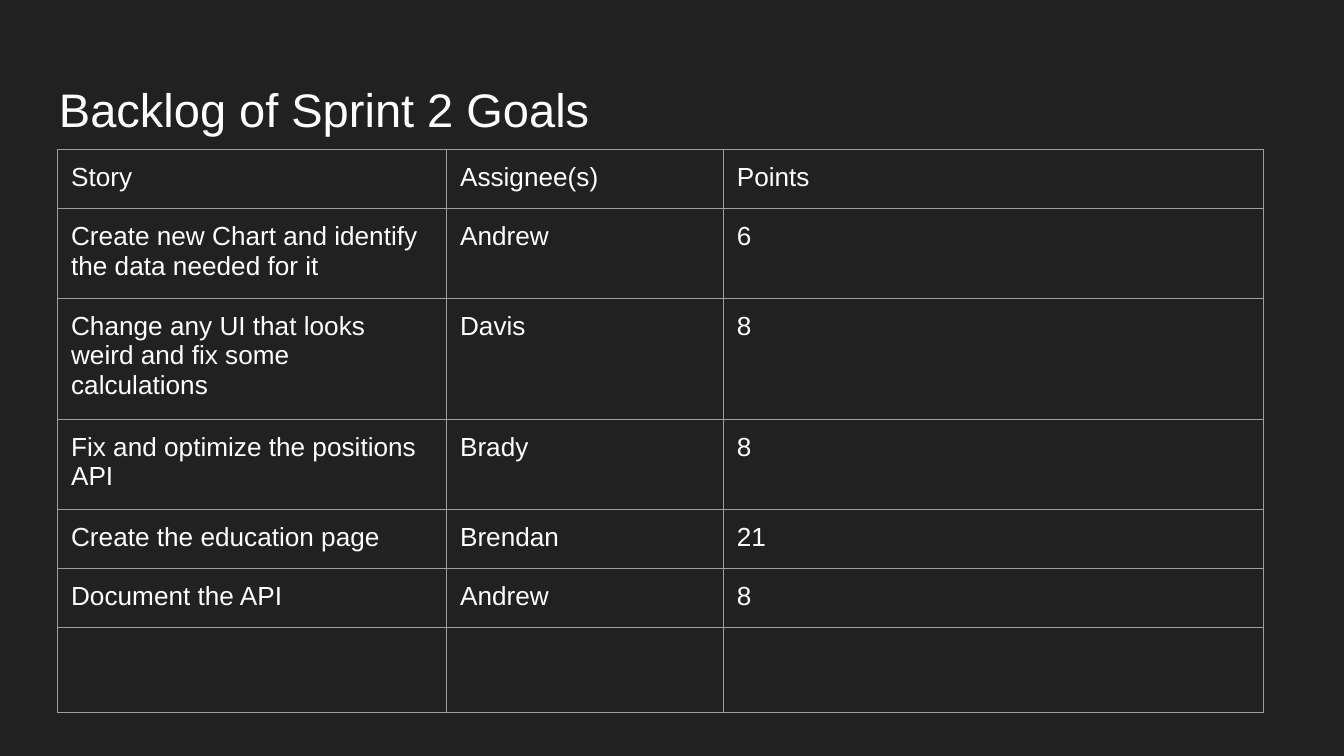
from dataclasses import dataclass

from lxml.etree import SubElement
from pptx import Presentation
from pptx.dml.color import RGBColor
from pptx.enum.text import MSO_ANCHOR
from pptx.oxml.ns import qn
from pptx.util import Pt

BACKGROUND = "212121"
TEXT = "FFFFFF"
BORDER = "9E9E9E"
FONT = "Arial"
INSET = 7.2
COLUMN_WIDTHS = (208.4, 148.3, 289.4)


@dataclass
class Story:
    """One row of the backlog."""

    name: str
    assignee: str
    points: str
    height: float = 31.7


BACKLOG = (
    Story("Story", "Assignee(s)", "Points"),
    Story("Create new Chart and identify the data needed for it", "Andrew", "6"),
    Story("Change any UI that looks weird and fix some calculations", "Davis", "8", 45.6),
    Story("Fix and optimize the positions API", "Brady", "8"),
    Story("Create the education page", "Brendan", "21"),
    Story("Document the API", "Andrew", "8"),
    Story("", "", "", 45.6),
)


def color(value: str) -> RGBColor:
    """Turn a hex string into a colour."""
    return RGBColor.from_string(value)


def write(para, text: str, size: float) -> None:
    """Add one run of slide text to a paragraph."""
    span = para.add_run()
    span.text = text
    span.font.name = FONT
    span.font.size = Pt(size)
    span.font.color.rgb = color(TEXT)


def set_insets(target) -> None:
    """Give a cell or text frame the same inset on every side."""
    target.margin_left = target.margin_right = Pt(INSET)
    target.margin_top = target.margin_bottom = Pt(INSET)


def outline(cell, width: float = 0.75) -> None:
    """Draw a solid border on all four sides of a cell."""
    properties = cell._tc.get_or_add_tcPr()
    for index, side in enumerate(("lnL", "lnR", "lnT", "lnB")):
        line = SubElement(properties, qn(f"a:{side}"), w=str(Pt(width)))
        fill = SubElement(line, qn("a:solidFill"))
        SubElement(fill, qn("a:srgbClr"), val=BORDER)
        properties.insert(index, line)


def add_title(page, text: str) -> None:
    """Place the slide title."""
    box = page.shapes.add_textbox(Pt(24.5), Pt(35.3), Pt(671), Pt(45.4))
    frame = box.text_frame
    frame.word_wrap = True
    frame.vertical_anchor = MSO_ANCHOR.BOTTOM
    set_insets(frame)
    write(frame.paragraphs[0], text, 25.2)


def add_backlog(page, stories: tuple[Story, ...]) -> None:
    """Place the backlog table, one row per story."""
    total_height = sum(story.height for story in stories)
    table = page.shapes.add_table(
        len(stories), len(COLUMN_WIDTHS),
        Pt(30.9), Pt(80.1), Pt(sum(COLUMN_WIDTHS)), Pt(total_height),
    ).table
    table.first_row = table.horz_banding = False
    for column, width in zip(table.columns, COLUMN_WIDTHS):
        column.width = Pt(width)
    for row, story in zip(table.rows, stories):
        row.height = Pt(story.height)
        for cell, text in zip(row.cells, (story.name, story.assignee, story.points)):
            set_insets(cell)
            cell.fill.background()
            outline(cell)
            if text:
                write(cell.text_frame.paragraphs[0], text, 14)


def main() -> None:
    """Build and save the deck."""
    deck = Presentation()
    deck.slide_width, deck.slide_height = Pt(720), Pt(405)
    page = deck.slides.add_slide(deck.slide_layouts[6])
    page.background.fill.solid()
    page.background.fill.fore_color.rgb = color(BACKGROUND)
    add_title(page, "Backlog of Sprint 2 Goals")
    add_backlog(page, BACKLOG)
    deck.save("out.pptx")


if __name__ == "__main__":
    main()
